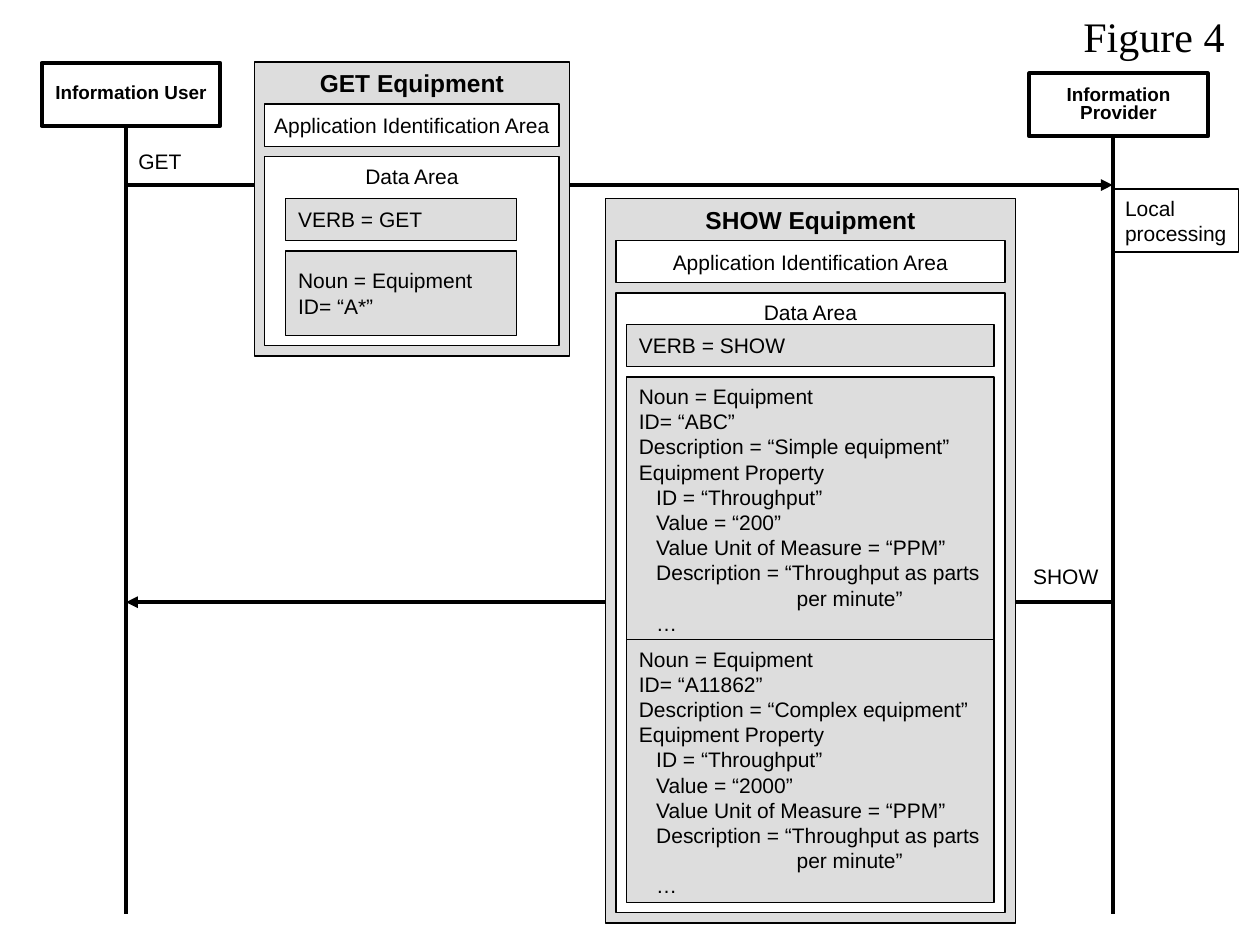
from pptx import Presentation
from pptx.dml.color import RGBColor
from pptx.enum.shapes import MSO_CONNECTOR, MSO_SHAPE
from pptx.enum.text import MSO_ANCHOR, MSO_AUTO_SIZE, PP_ALIGN
from pptx.oxml.ns import qn
from pptx.util import Cm, Pt
from lxml.etree import SubElement

COLORS = {"ink": "000000", "paper": "FFFFFF", "panel": "DDDDDD"}
GAP = 0.21
ROW = 0.85
USER_X = 2.54
PROVIDER_X = 22.43
LIFELINE_END = 18.42
INDENT = 0.35
DEEP_INDENT = 3.18


def color(name):
    return RGBColor.from_string(COLORS[name])


def write_lines(shape, lines, size=12, bold=False, align=PP_ALIGN.CENTER,
                anchor=MSO_ANCHOR.MIDDLE, spacing=None, font="Arial"):
    frame = shape.text_frame
    frame.auto_size = MSO_AUTO_SIZE.NONE
    frame.word_wrap = True
    frame.vertical_anchor = anchor
    frame.margin_left = Cm(0.25 if align == PP_ALIGN.LEFT else 0)
    frame.margin_right = 0
    frame.margin_top = frame.margin_bottom = Cm(0.13)
    frame.text = "\n".join(text for text, indent in lines)
    for para, (text, indent) in zip(frame.paragraphs, lines):
        if indent:
            para._p.get_or_add_pPr().set("marL", str(Cm(indent)))
        para.alignment = align
        if spacing:
            para.line_spacing = spacing
        for span in para.runs:
            span.font.name = font
            span.font.size = Pt(size)
            span.font.bold = bold
            span.font.color.rgb = color("ink")


def plain(*texts):
    return [(text, 0) for text in texts]


def add_box(shapes, left, top, width, height, lines, fill="paper", border=0.75, **style):
    box = shapes.add_shape(MSO_SHAPE.RECTANGLE, Cm(left), Cm(top), Cm(width), Cm(height))
    box.shadow.inherit = False
    box.fill.solid()
    box.fill.fore_color.rgb = color(fill)
    box.line.color.rgb = color("ink")
    box.line.width = Pt(border)
    write_lines(box, lines, **style)


def add_actor(shapes, left, top, *names):
    add_box(shapes, left, top, 3.6, 1.27, plain(*names), border=2.25,
            size=10.8, bold=True, spacing=0.8)


def add_label(shapes, left, top, width, text):
    label = shapes.add_textbox(Cm(left), Cm(top), Cm(width), Cm(0.76))
    write_lines(label, plain(text), anchor=MSO_ANCHOR.TOP)


def add_line(shapes, start, end, arrow=False):
    line = shapes.add_connector(MSO_CONNECTOR.STRAIGHT, *[Cm(value) for value in start + end])
    line.line.color.rgb = color("ink")
    line.line.width = Pt(2.25)
    if arrow:
        SubElement(line.line._get_or_add_ln(), qn("a:tailEnd"), type="triangle")
    SubElement(line._element.spPr, qn("a:effectLst"))


def add_message(shapes, left, top, width, height, verb, verb_offset, verb_width, nouns,
                noun_anchor):
    group = shapes.add_group_shape().shapes
    inner_left = left + GAP
    inner_width = width - 2 * GAP
    data_top = top + 2 * ROW + GAP
    data_bottom = top + height - GAP
    verb_left = inner_left + verb_offset[0]
    verb_top = data_top + verb_offset[1]
    noun_top = verb_top + ROW + GAP
    noun_height = (data_bottom - GAP - noun_top) / len(nouns)

    add_box(group, left, top, width, height, plain(f"{verb} Equipment"), "panel",
            size=14, bold=True, anchor=MSO_ANCHOR.TOP)
    add_box(group, inner_left, top + ROW, inner_width, ROW,
            plain("Application Identification Area"))
    add_box(group, inner_left, data_top, inner_width, data_bottom - data_top,
            plain("Data Area"), anchor=MSO_ANCHOR.TOP)
    add_box(group, verb_left, verb_top, verb_width, ROW, plain(f"VERB = {verb}"),
            "panel", align=PP_ALIGN.LEFT)
    for index, noun in enumerate(nouns):
        add_box(group, verb_left, noun_top + index * noun_height, verb_width, noun_height,
                noun, "panel", align=PP_ALIGN.LEFT, anchor=noun_anchor)


def equipment(identifier, kind, value):
    return plain(
        "Noun = Equipment",
        f"ID= “{identifier}”",
        f"Description = “{kind} equipment”",
        "Equipment Property",
    ) + [
        ("ID = “Throughput”", INDENT),
        (f"Value = “{value}”", INDENT),
        ("Value Unit of Measure = “PPM”", INDENT),
        ("Description = “Throughput as parts", INDENT),
        ("per minute”", DEEP_INDENT),
        ("…", INDENT),
    ]


def add_title(slide, text):
    title = slide.shapes.title
    title.left, title.top, title.width, title.height = Cm(21.59), Cm(0.08), Cm(3.81), Cm(1.27)
    write_lines(title, plain(text), size=24, align=PP_ALIGN.LEFT,
                anchor=MSO_ANCHOR.TOP, font="Times New Roman")


def main():
    deck = Presentation()
    deck.slide_width = Cm(25.4)
    deck.slide_height = Cm(19.05)
    page = deck.slides.add_slide(deck.slide_layouts[5])
    shapes = page.shapes

    add_title(page, "Figure 4")
    add_actor(shapes, 0.84, 1.27, "Information User")
    add_actor(shapes, 20.75, 1.48, "Information", "Provider")
    add_line(shapes, (USER_X, 3.73), (PROVIDER_X, 3.73), arrow=True)
    add_label(shapes, USER_X, 2.87, 1.37, "GET")
    add_line(shapes, (PROVIDER_X, 12.14), (USER_X, 12.14), arrow=True)
    add_label(shapes, 20.57, 11.23, 1.83, "SHOW")
    add_box(shapes, PROVIDER_X, 3.81, 2.54, 1.27, plain("Local", "processing"),
            align=PP_ALIGN.LEFT)
    add_line(shapes, (USER_X, 2.54), (USER_X, LIFELINE_END))
    add_line(shapes, (PROVIDER_X, 2.75), (PROVIDER_X, LIFELINE_END))

    add_message(shapes, 5.13, 1.25, 6.35, 5.93, "GET", (2 * GAP, 4 * GAP), 4.66,
                [plain("Noun = Equipment", "ID= “A*”")], MSO_ANCHOR.MIDDLE)
    add_message(shapes, 12.21, 4, 8.26, 14.61, "SHOW", (GAP, 3 * GAP), 7.41,
                [equipment("ABC", "Simple", 200), equipment("A11862", "Complex", 2000)],
                MSO_ANCHOR.TOP)

    deck.save("out.pptx")


if __name__ == "__main__":
    main()
